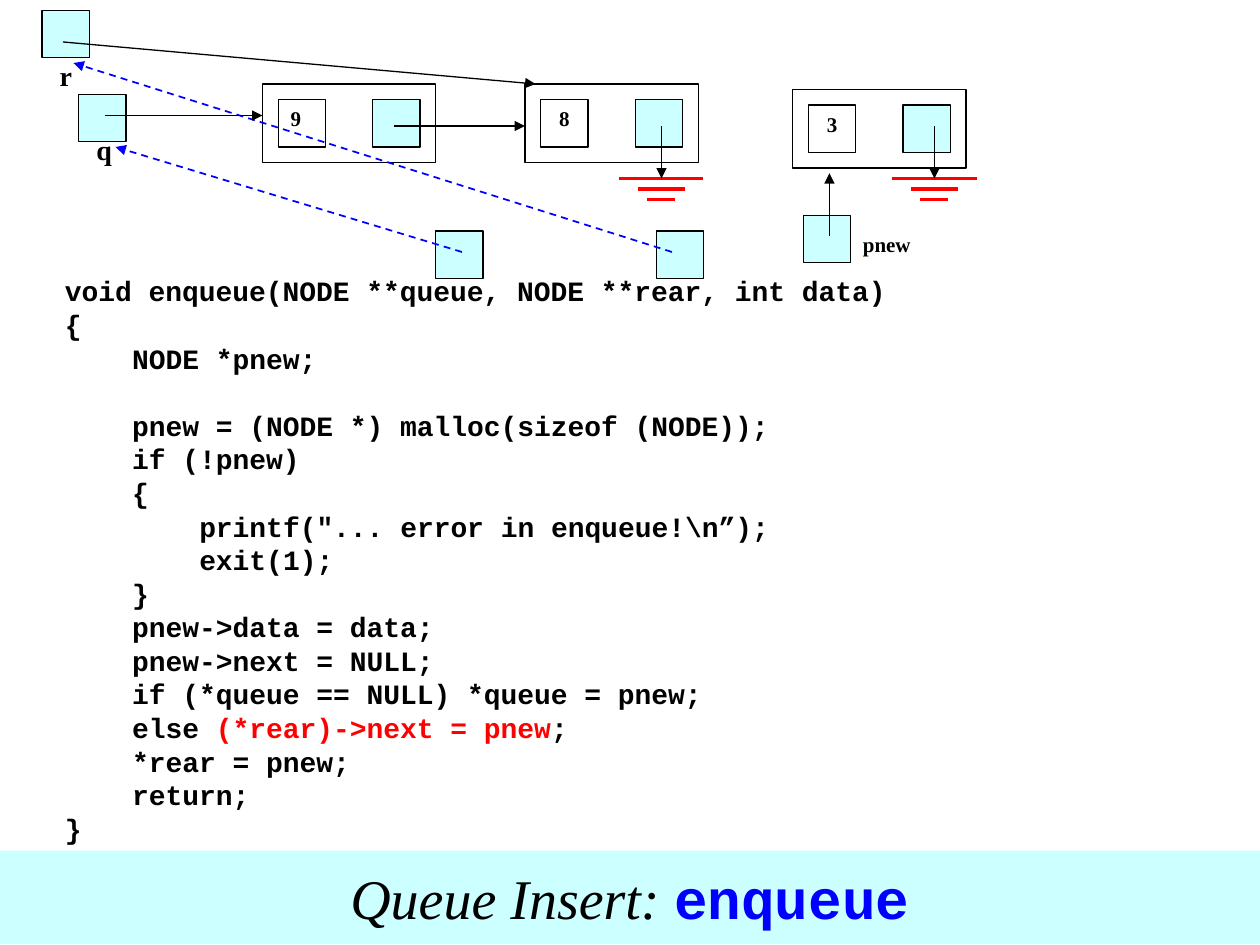
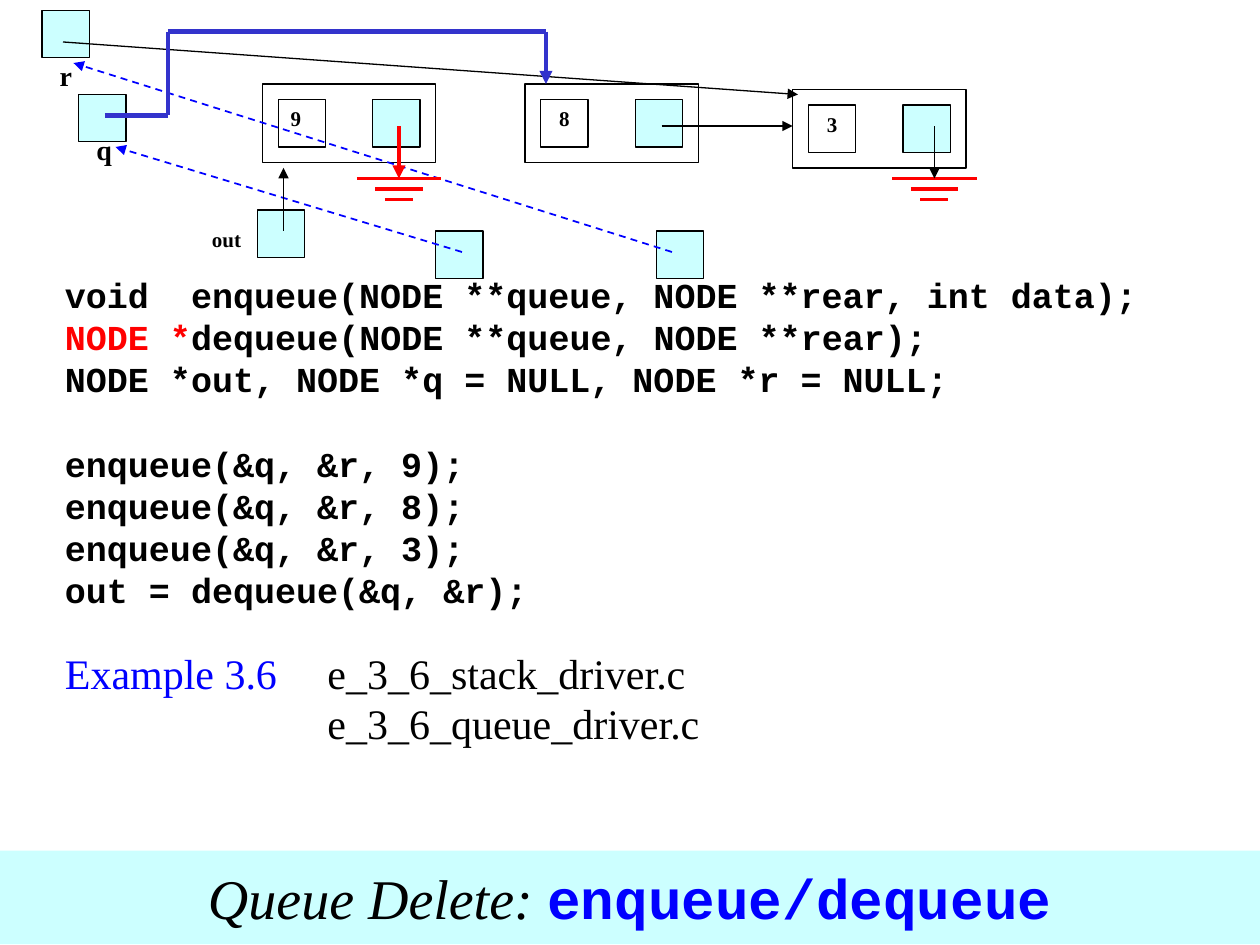
from collections import namedtuple

from lxml import etree
from pptx import Presentation
from pptx.dml.color import RGBColor
from pptx.enum import dml, shapes, text
from pptx.oxml import ns
from pptx.util import Pt

BLACK = RGBColor(0x00, 0x00, 0x00)
WHITE = RGBColor(0xFF, 0xFF, 0xFF)
RED = RGBColor(0xFF, 0x00, 0x00)
BLUE = RGBColor(0x00, 0x00, 0xFF)
INDIGO = RGBColor(0x33, 0x33, 0xCC)
CYAN = RGBColor(0xCC, 0xFF, 0xFF)

MONO = "Courier New"
SERIF = "Times New Roman"
LEFT, CENTER = text.PP_ALIGN.LEFT, text.PP_ALIGN.CENTER

CELL = 27
LINE_FACTOR = 1.2
MONO_ADVANCE = 0.6

Box = namedtuple("Box", "left top width height")
Line = namedtuple("Line", "level spans gap", defaults=[False])

DIAGRAM = Box(0, 0, 720, 150)
TITLE_BAND = Box(0, 486, 720, 53.5)

ENQUEUE_CODE = [
    Line(0, [("void enqueue(NODE **queue, NODE **rear, int data)", BLACK)]),
    Line(0, [("{", BLACK)]),
    Line(1, [("NODE *pnew;", BLACK)]),
    Line(1, [("pnew = (NODE *) malloc(sizeof (NODE));", BLACK)], True),
    Line(1, [("if (!pnew)", BLACK)]),
    Line(1, [("{", BLACK)]),
    Line(2, [('printf("... error in enqueue!\\n”);', BLACK)]),
    Line(2, [("exit(1);", BLACK)]),
    Line(1, [("}", BLACK)]),
    Line(1, [("pnew->data = data;", BLACK)]),
    Line(1, [("pnew->next = NULL;", BLACK)]),
    Line(1, [("if (*queue == NULL) *queue = pnew;", BLACK)]),
    Line(1, [("else ", BLACK), ("(*rear)->next = pnew", RED), (";", BLACK)]),
    Line(1, [("*rear = pnew;", BLACK)]),
    Line(1, [("return;", BLACK)]),
    Line(0, [("}", BLACK)]),
]

DEQUEUE_CODE = [
    Line(0, [("void  enqueue(NODE **queue, NODE **rear, int data);", BLACK)]),
    Line(0, [("NODE *", RED), ("dequeue(NODE **queue, NODE **rear);", BLACK)]),
    Line(0, [("NODE *out, NODE *q = NULL, NODE *r = NULL;", BLACK)]),
    Line(0, [("enqueue(&q, &r, 9);", BLACK)], True),
    Line(0, [("enqueue(&q, &r, 8);", BLACK)]),
    Line(0, [("enqueue(&q, &r, 3);", BLACK)]),
    Line(0, [("out = dequeue(&q, &r);", BLACK)]),
]


def add_span(para, words, size, font, color, bold=False, italic=False):
    span = para.add_run()
    span.text = words
    span.font.size = Pt(size)
    span.font.name = font
    span.font.color.rgb = color
    span.font.bold = bold
    span.font.italic = italic


def add_rect(page, box, fill, outlined=True):
    rect = page.shapes.add_shape(
        shapes.MSO_SHAPE.RECTANGLE, *(Pt(length) for length in box))
    rect.shadow.inherit = False
    rect.fill.solid()
    rect.fill.fore_color.rgb = fill
    if outlined:
        rect.line.color.rgb = BLACK
        rect.line.width = Pt(0.75)
    else:
        rect.line.fill.background()
    return rect


def add_label(rect, words, size, align=LEFT):
    frame = rect.text_frame
    frame.word_wrap = True
    frame.vertical_anchor = text.MSO_ANCHOR.TOP
    para = frame.paragraphs[0]
    para.alignment = align
    add_span(para, words, size, SERIF, BLACK, bold=True)


def add_line(page, area, start, end, color=BLACK, width=0.75, arrow=True, dashed=False):
    points = [Pt(value) for x, y in (start, end) for value in (area.left + x, area.top + y)]
    link = page.shapes.add_connector(shapes.MSO_CONNECTOR.STRAIGHT, *points)
    link.line.color.rgb = color
    link.line.width = Pt(width)
    if dashed:
        link.line.dash_style = dml.MSO_LINE.DASH
    if arrow:
        outline = link.line._get_or_add_ln()
        etree.SubElement(outline, ns.qn("a:tailEnd"), type="triangle")
    etree.SubElement(link._element.spPr, ns.qn("a:effectLst"))


def add_pointer(page, area, x, y):
    add_rect(page, Box(area.left + x, area.top + y, CELL, CELL), CYAN)


def add_name(page, area, words, x, y, width, size):
    label = add_rect(page, Box(area.left + x, area.top + y, width, CELL), WHITE, outlined=False)
    add_label(label, words, size)


def add_node(page, area, value, x, y, align=CENTER):
    node = Box(area.left + x, area.top + y, 99, 45)
    add_rect(page, node, WHITE)
    add_rect(page, Box(node.left + 63, node.top + 9, CELL, CELL), CYAN)
    data = add_rect(page, Box(node.left + 9, node.top + 9, CELL, CELL), WHITE)
    add_label(data, value, 12, align)


def add_ground(page, area, x, color=BLACK, width=0.75):
    for step, length in enumerate((48, 27, 16)):
        y = 102 + 6 * step
        add_line(page, area, (x - length / 2, y), (x + length / 2, y), RED, 2, arrow=False)
    add_line(page, area, (x, 72), (x, 102), color, width)


def draw_queue(page, area):
    add_name(page, area, "r", 27, 30, 24, 16)
    add_name(page, area, "q", 48, 72, 18, 16)
    for x, y in ((24, 6), (45, 54)):
        add_pointer(page, area, x, y)
    add_node(page, area, "9", 150, 48, LEFT)
    add_node(page, area, "8", 300, 48)
    add_node(page, area, "3", 453, 51)
    add_ground(page, area, 534)
    for x, start, end in ((249, (264, 144), (66, 84)), (375, (384, 144), (42, 36))):
        add_pointer(page, area, x, 132)
        add_line(page, area, start, end, BLUE, 1, dashed=True)


def draw_insert_links(page, area):
    add_line(page, area, (60, 66), (150, 66))
    add_line(page, area, (225, 72), (300, 72))
    add_line(page, area, (36, 24), (306, 48))
    add_ground(page, area, 378)
    add_name(page, area, "pnew", 486, 129, 54, 12)
    add_pointer(page, area, 459, 123)
    add_line(page, area, (474, 135), (474, 99))


def draw_delete_links(page, area):
    add_name(page, area, "out", 114, 126, 54, 12)
    add_pointer(page, area, 147, 120)
    add_line(page, area, (162, 132), (162, 96))
    add_line(page, area, (36, 24), (456, 54))
    add_line(page, area, (378, 72), (453, 72))
    detour = [(60, 66), (96, 66), (96, 18), (312, 18), (312, 48)]
    for start, end in zip(detour, detour[1:]):
        add_line(page, area, start, end, INDIGO, 2.5, arrow=end == detour[-1])
    add_ground(page, area, 228, RED, 2.5)


def add_text_frame(page, box):
    frame = page.shapes.add_textbox(*(Pt(length) for length in box)).text_frame
    frame.word_wrap = True
    return frame


def next_para(frame, index, size):
    para = frame.add_paragraph() if index else frame.paragraphs[0]
    para.line_spacing = Pt(LINE_FACTOR * size)
    return para


def draw_code(page, box, lines, size):
    frame = add_text_frame(page, box)
    for index, line in enumerate(lines):
        para = next_para(frame, index, size)
        if line.gap:
            para.space_before = Pt(LINE_FACTOR * size)
        indent = Pt(4 * MONO_ADVANCE * size * line.level)
        para._p.get_or_add_pPr().set("marL", str(indent))
        for words, color in line.spans:
            add_span(para, words, size, MONO, color, bold=True)


def draw_example(page, box, caption, files):
    frame = add_text_frame(page, box)
    column = Pt(150)
    for index, name in enumerate(files):
        para = next_para(frame, index, 24)
        props = para._p.get_or_add_pPr()
        props.set("marL", str(column))
        if index == 0:
            props.set("indent", str(-column))
            add_span(para, caption + "\t", 24, SERIF, BLUE)
        add_span(para, name, 24, SERIF, BLACK)


def draw_title(page, box, topic, functions):
    frame = add_rect(page, box, CYAN, outlined=False).text_frame
    frame.word_wrap = False
    frame.vertical_anchor = text.MSO_ANCHOR.MIDDLE
    para = frame.paragraphs[0]
    para.alignment = CENTER
    add_span(para, topic + ": ", 32, SERIF, BLACK, italic=True)
    add_span(para, functions, 32, MONO, BLUE, bold=True)


def build_insert(page):
    draw_code(page, Box(30, 153, 516, 353), ENQUEUE_CODE, 16)
    draw_queue(page, DIAGRAM)
    draw_insert_links(page, DIAGRAM)
    draw_title(page, TITLE_BAND, "Queue Insert", "enqueue")


def build_delete(page):
    draw_code(page, Box(30, 153, 636, 199), DEQUEUE_CODE, 20)
    draw_queue(page, DIAGRAM)
    draw_delete_links(page, DIAGRAM)
    draw_title(page, TITLE_BAND, "Queue Delete", "enqueue/dequeue")
    draw_example(page, Box(30, 366.5, 558, 93.5), "Example 3.6",
                 ["e_3_6_stack_driver.c", "e_3_6_queue_driver.c"])


def main():
    deck = Presentation()
    deck.slide_width, deck.slide_height = Pt(720), Pt(540)
    for build in (build_insert, build_delete):
        build(deck.slides.add_slide(deck.slide_layouts[6]))
    deck.save("out.pptx")


if __name__ == "__main__":
    main()
